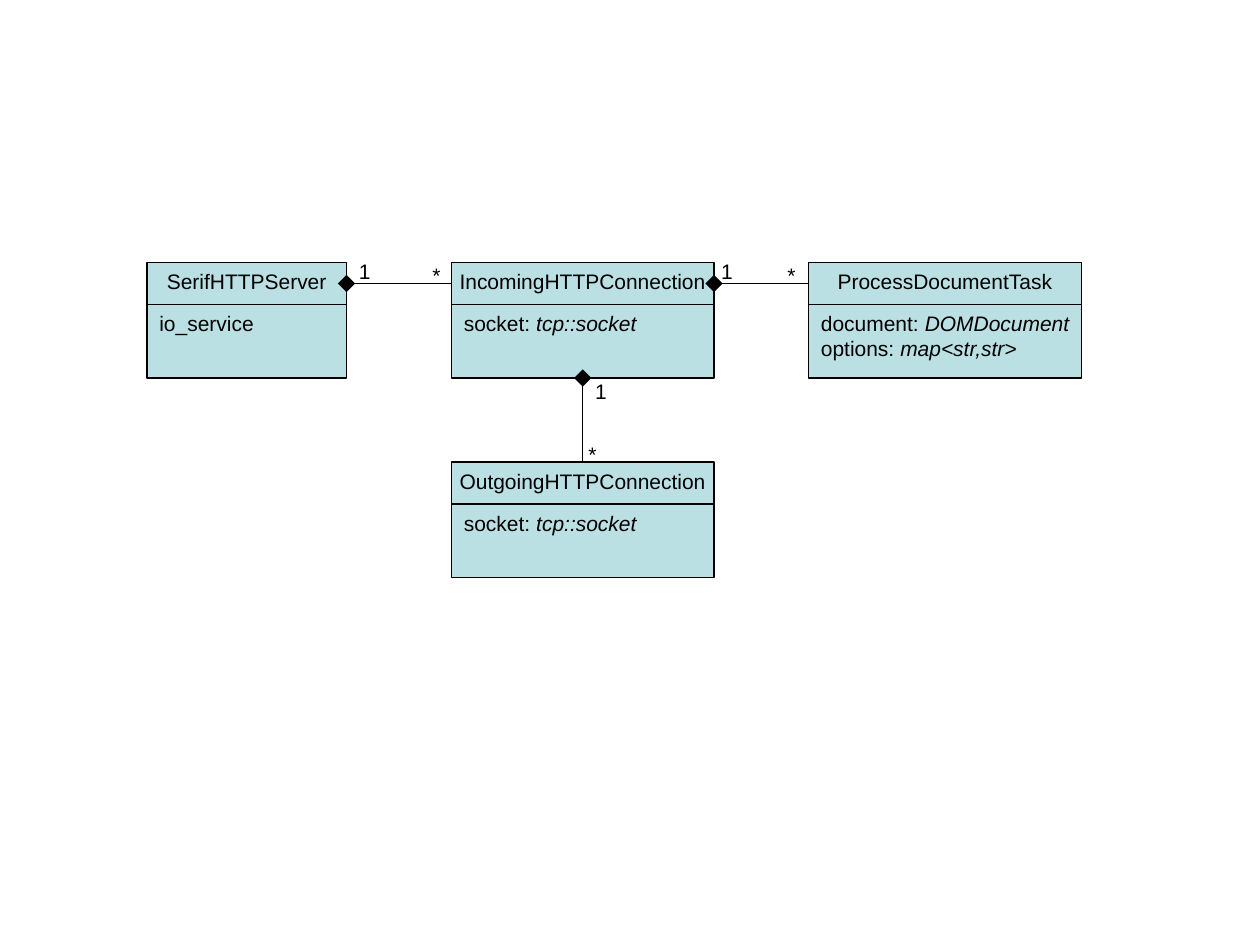
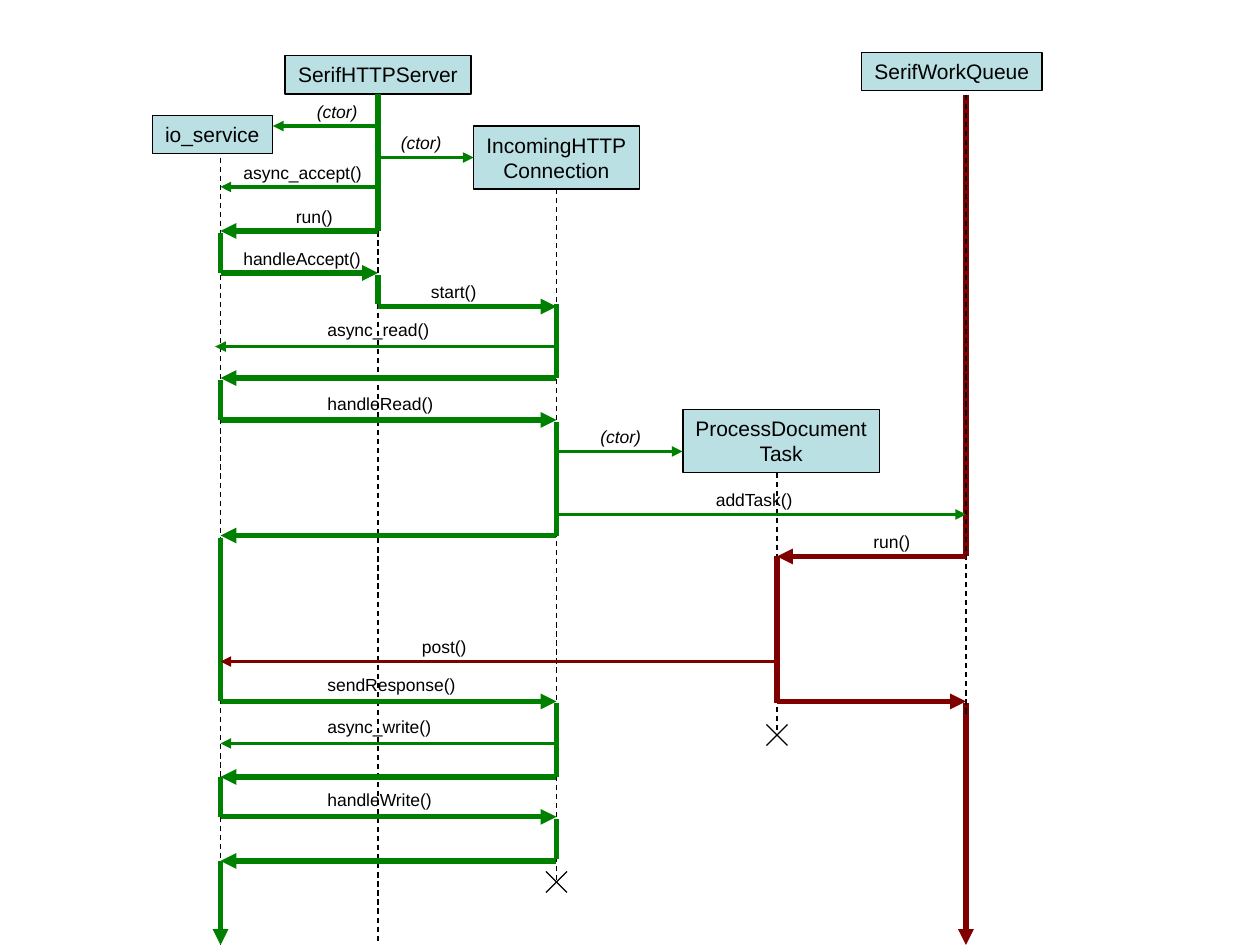
from dataclasses import dataclass

import pptx
import pptx.dml.color
import pptx.enum.dml
import pptx.enum.shapes
import pptx.enum.text
import pptx.oxml
import pptx.oxml.ns
import pptx.util

BLACK = pptx.dml.color.RGBColor(0x00, 0x00, 0x00)
BOX_FILL = pptx.dml.color.RGBColor(0xBB, 0xE0, 0xE3)
GREEN = pptx.dml.color.RGBColor(0x00, 0x80, 0x00)
RED = pptx.dml.color.RGBColor(0x80, 0x00, 0x00)

FONT = "Arial"
CELL = pptx.util.Inches(10) // 120
LEFT = pptx.enum.text.PP_ALIGN.LEFT
CENTER = pptx.enum.text.PP_ALIGN.CENTER
HAIRLINE, THIN, THICK = 0.75, 2, 3
TOP_SIDE, LEFT_SIDE, BOTTOM_SIDE, RIGHT_SIDE = range(4)
ARROW_SIZES = {"diamond": "lg", "triangle": "med"}

IO, SERVER, INCOMING, TASK, QUEUE = 21, 36, 53, 74, 92
END_ROW = 90
LONG_CALL = 30
LABEL_HEIGHT = 3.2


@dataclass
class Grid:
    """A region of square cells, counted from its own top left corner."""

    column: float = 0
    row: float = 0

    def place(self, column, row):
        """Return the slide position of a grid point."""
        return round((self.column + column) * CELL), round((self.row + row) * CELL)

    def inner(self, column, row):
        """Return a grid that starts at a point of this one."""
        return Grid(self.column + column, self.row + row)


def write_text(shape, lines, size=12, align=LEFT, italic=False, grow=False):
    """Fill a shape with lines, each a string or a list of (text, italic) runs."""
    frame = shape.text_frame
    frame.word_wrap = False
    frame.vertical_anchor = pptx.enum.text.MSO_ANCHOR.TOP
    if grow:
        frame.auto_size = pptx.enum.text.MSO_AUTO_SIZE.SHAPE_TO_FIT_TEXT
    for index, line in enumerate(lines):
        paragraph = frame.add_paragraph() if index else frame.paragraphs[0]
        paragraph.alignment = align
        for text, slanted in [(line, italic)] if isinstance(line, str) else line:
            run = paragraph.add_run()
            run.text = text
            run.font.name = FONT
            run.font.size = pptx.util.Pt(size)
            run.font.italic = slanted
            run.font.color.rgb = BLACK


def add_box(shapes, grid, column, row, width, height, lines, **text_format):
    """Add a filled, outlined rectangle with text."""
    shape = shapes.add_shape(
        pptx.enum.shapes.MSO_SHAPE.RECTANGLE, *grid.place(column, row),
        round(width * CELL), round(height * CELL))
    shape.shadow.inherit = False
    shape.fill.solid()
    shape.fill.fore_color.rgb = BOX_FILL
    shape.line.color.rgb = BLACK
    shape.line.width = pptx.util.Pt(HAIRLINE)
    write_text(shape, lines, **text_format)
    return shape


def add_label(shapes, grid, column, row, width, height, text, **text_format):
    """Add a one-line caption."""
    label = shapes.add_textbox(
        *grid.place(column, row), round(width * CELL), round(height * CELL))
    write_text(label, [text], grow=True, **text_format)


def add_line(shapes, grid, start, end, joints=None, color=BLACK, width=HAIRLINE,
             dashed=False, head=None, tail=None):
    """Draw a straight connector, joined to any box side listed at its ends."""
    joints = joints or {}
    connector = shapes.add_connector(
        pptx.enum.shapes.MSO_CONNECTOR.STRAIGHT, *grid.place(*start), *grid.place(*end))
    if start in joints:
        connector.begin_connect(*joints[start])
    if end in joints:
        connector.end_connect(*joints[end])
    connector.line.color.rgb = color
    connector.line.width = pptx.util.Pt(width)
    if dashed:
        connector.line.dash_style = pptx.enum.dml.MSO_LINE.DASH
    properties = connector.line._get_or_add_ln()
    for tag, kind in (("a:headEnd", head), ("a:tailEnd", tail)):
        if kind:
            ending = pptx.oxml.parse_xml(f"<{tag} {pptx.oxml.ns.nsdecls('a')}/>")
            ending.set("type", kind)
            ending.set("w", ARROW_SIZES[kind])
            ending.set("len", ARROW_SIZES[kind])
            properties.append(ending)
    connector._element.spPr.append(
        pptx.oxml.parse_xml(f"<a:effectLst {pptx.oxml.ns.nsdecls('a')}/>"))


def add_class(slide, grid, width, name, members):
    """Add a class as a title box above a members box and return both."""
    shapes = slide.shapes.add_group_shape().shapes
    title = add_box(shapes, grid, 0, 0, width, 4, [name], align=CENTER)
    body = add_box(shapes, grid, 0, 4, width, 7, members)
    return title, body


def add_class_diagram(slide, grid):
    """Draw the four classes and their one-to-many compositions."""
    socket = [[("socket: ", False), ("tcp::socket", True)]]
    fields = [[("document: ", False), ("DOMDocument", True)],
              [("options: ", False), ("map<str,str>", True)]]
    server, _ = add_class(slide, grid.inner(0, 0), 19, "SerifHTTPServer", ["io_service"])
    incoming, incoming_body = add_class(
        slide, grid.inner(29, 0), 25, "IncomingHTTPConnection", socket)
    task, _ = add_class(slide, grid.inner(63, 0), 26, "ProcessDocumentTask", fields)
    outgoing, _ = add_class(slide, grid.inner(29, 19), 25, "OutgoingHTTPConnection", socket)

    joints = {
        (19, 2): (server, RIGHT_SIDE), (29, 2): (incoming, LEFT_SIDE),
        (54, 2): (incoming, RIGHT_SIDE), (63, 2): (task, LEFT_SIDE),
        (41.5, 11): (incoming_body, BOTTOM_SIDE), (41.5, 19): (outgoing, TOP_SIDE)}
    ends = list(joints)
    for start, end in zip(ends[::2], ends[1::2]):
        add_line(slide.shapes, grid, start, end, joints, head="diamond")

    for column, row in ((19, -1), (53.5, -1), (41.5, 10.45)):
        add_label(slide.shapes, grid, column, row, 3.5, 3.6, "1")
    for column, row in ((26, -0.6), (59.8, -0.6), (40.85, 16.45)):
        add_label(slide.shapes, grid, column, row, 3.1, 3.6, "*")


def add_participants(slide, grid):
    """Add the sequence boxes and return the sides where lines join them."""
    boxes = [
        add_box(slide.shapes, grid, *bounds, lines, align=CENTER, grow=True)
        for bounds, lines in (
            ((14.5, 11, 11.45, 3.6), ["io_service"]),
            ((27.15, 5.3, 17.7, 3.65), ["SerifHTTPServer"]),
            ((45.1, 12, 15.8, 6), ["IncomingHTTP", "Connection"]),
            ((65.05, 39, 18.7, 6), ["ProcessDocument", "Task"]),
            ((82.05, 5, 17.2, 3.6), ["SerifWorkQueue"]))]
    _, server, incoming, _, _ = boxes
    return {(SERVER, 9): (server, BOTTOM_SIDE), (INCOMING, 18): (incoming, BOTTOM_SIDE),
            (45, 15): (incoming, LEFT_SIDE)}


def add_activations(slide, grid, joints):
    """Draw the thick vertical spans during which a participant is active."""
    for column, color, spans in (
            (SERVER, GREEN, ((9, 22), (26.2, 29))),
            (IO, GREEN, ((22.2, 26), (36.2, 40), (51.2, 65), (63, 66.8),
                         (74, 77.8), (82, END_ROW))),
            (INCOMING, GREEN, ((29, 36), (40.2, 51), (67, 74), (78, 81.8))),
            (TASK, RED, ((53, 67),)),
            (QUEUE, RED, ((9, 53), (67, END_ROW)))):
        for top, bottom in spans:
            continues = bottom == END_ROW
            add_line(slide.shapes, grid, (column, top), (column, bottom), joints,
                     color=color, width=THICK, tail="triangle" if continues else None)


def add_messages(slide, grid, joints):
    """Draw the horizontal arrows and their captions."""
    for start, end, row, width, color, caption in (
            (SERVER, 26, 12, THIN, GREEN, ("(ctor)", 29, 6.5)),
            (SERVER, 45, 15, THIN, GREEN, ("(ctor)", 37, 6.5)),
            (SERVER, IO, 17.8, THIN, GREEN, ("async_accept()", 22, 13.8)),
            (SERVER, IO, 22, THICK, GREEN, ("run()", 27, 6)),
            (IO, SERVER, 26, THICK, GREEN, ("handleAccept()", 22, 13.7)),
            (SERVER, INCOMING, 29.2, THICK, GREEN, ("start()", 39.85, 6.8)),
            (INCOMING, 20.5, 33, THIN, GREEN, ("async_read()", LONG_CALL, 12.3)),
            (INCOMING, IO, 36, THICK, GREEN, None),
            (IO, INCOMING, 40, THICK, GREEN, ("handleRead()", LONG_CALL, 12.6)),
            (INCOMING, 65, 43, THIN, GREEN, ("(ctor)", 56, 6.5)),
            (INCOMING, QUEUE, 49, THIN, GREEN, ("addTask()", 67, 9.9)),
            (INCOMING, IO, 51, THICK, GREEN, None),
            (QUEUE, TASK, 53, THICK, RED, ("run()", 82, 6)),
            (TASK, IO, 63, THIN, RED, ("post()", 39, 6.9)),
            (TASK, QUEUE, 66.8, THICK, RED, None),
            (IO, INCOMING, 66.8, THICK, GREEN, ("sendResponse()", LONG_CALL, 14.8)),
            (INCOMING, IO, 70.8, THIN, GREEN, ("async_write()", LONG_CALL, 12.5)),
            (INCOMING, IO, 74, THICK, GREEN, None),
            (IO, INCOMING, 77.8, THICK, GREEN, ("handleWrite()", LONG_CALL, 12.6)),
            (INCOMING, IO, 82, THICK, GREEN, None)):
        add_line(slide.shapes, grid, (start, row), (end, row), joints,
                 color=color, width=width, tail="triangle")
        if caption:
            text, column, label_width = caption
            rise = 3.2 if column == LONG_CALL else 3
            add_label(slide.shapes, grid, column, row - rise, label_width,
                      LABEL_HEIGHT, text, size=10, italic=text == "(ctor)")


def add_end_mark(slide, grid):
    """Draw the cross that ends a lifeline, two cells wide."""
    shapes = slide.shapes.add_group_shape().shapes
    add_line(shapes, grid, (0, 0), (2, 2))
    add_line(shapes, grid, (2, 0), (0, 2))


def add_sequence_diagram(slide, grid):
    """Draw participants, lifelines, activations and messages."""
    joints = add_participants(slide, grid)
    for column, top, bottom in ((SERVER, 10, END_ROW), (IO, 15, END_ROW),
                                (INCOMING, 18, 84), (TASK, 45, 70)):
        add_line(slide.shapes, grid, (column, top), (column, bottom), joints, dashed=True)
    add_activations(slide, grid, joints)
    add_line(slide.shapes, grid, (QUEUE, 9), (QUEUE, 68), dashed=True)
    add_messages(slide, grid, joints)
    for column, row in ((INCOMING, 84), (TASK, 70)):
        add_end_mark(slide, grid.inner(column - 1, row - 1))


def main():
    """Build both slides and save the presentation."""
    presentation = pptx.Presentation()
    presentation.slide_width = 120 * CELL
    presentation.slide_height = END_ROW * CELL
    for draw, grid in ((add_class_diagram, Grid(14, 25)), (add_sequence_diagram, Grid())):
        draw(presentation.slides.add_slide(presentation.slide_layouts[6]), grid)
    presentation.save("out.pptx")


if __name__ == "__main__":
    main()
